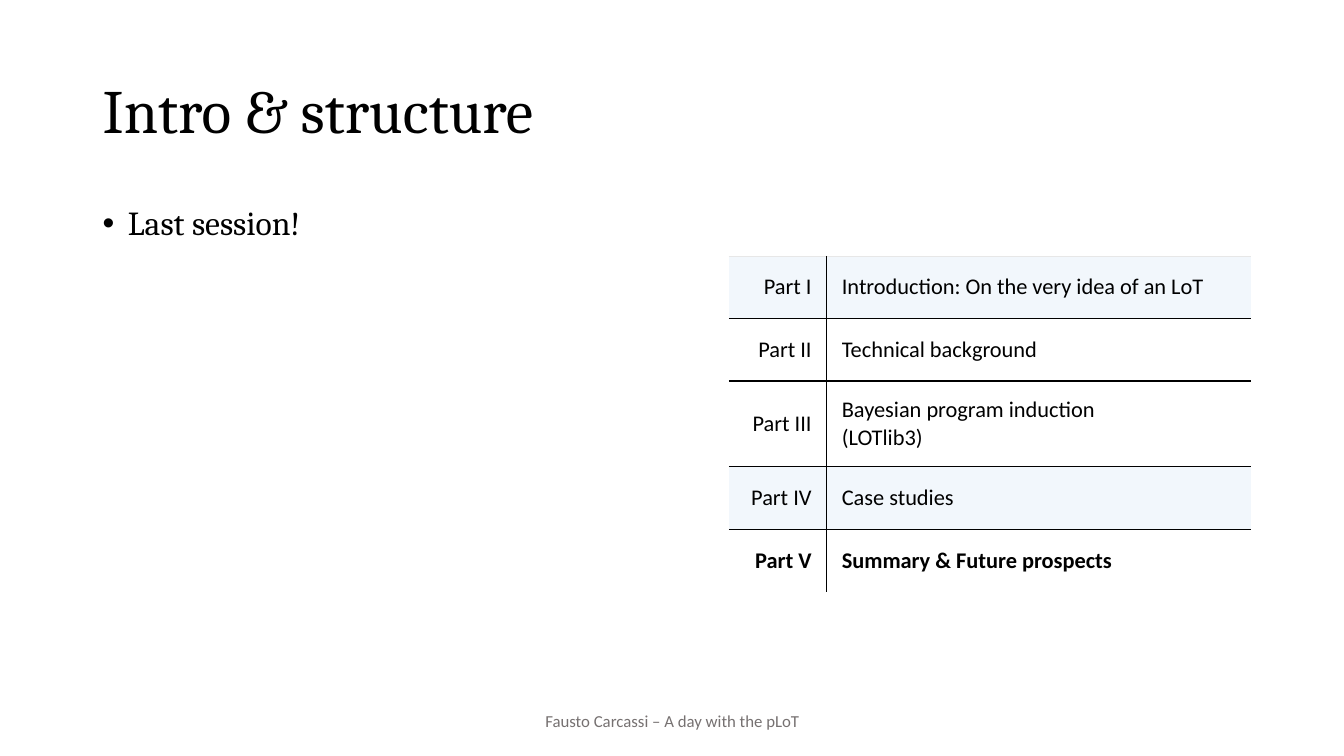
import pptx
import pptx.util
import pptx.dml.color
import pptx.enum.text
import pptx.oxml
import pptx.oxml.ns
from pptx.util import Inches

ALIGN = pptx.enum.text.PP_ALIGN
ANCHOR = pptx.enum.text.MSO_ANCHOR
BLACK, WHITE, PALE, EDGE, GREY = "000000", "FFFFFF", "F2F7FC", "E7E7E7", "767171"

PARTS = [
    ("Part I", "Introduction: On the very idea of an LoT", PALE),
    ("Part II", "Technical background", WHITE),
    ("Part III", "Bayesian program induction\n(LOTlib3)", WHITE),
    ("Part IV", "Case studies", PALE),
    ("Part V", "Summary & Future prospects", WHITE),
]


def color(value):
    return pptx.dml.color.RGBColor.from_string(value)


def add_xml(parent, tag, inner="", **attrs):
    """Append a DrawingML element with the given attributes to parent."""
    pairs = " ".join(f'{key}="{value}"' for key, value in attrs.items())
    space = pptx.oxml.ns.nsdecls("a")
    parent.append(pptx.oxml.parse_xml(f"<a:{tag} {space} {pairs}>{inner}</a:{tag}>"))


def write(frame, text, size, font="Calibri", ink=BLACK, bold=False,
          align=ALIGN.LEFT, anchor=ANCHOR.MIDDLE, spacing=None, bullet=None):
    """Fill a text frame, one paragraph for each line of text."""
    frame.word_wrap = True
    frame.vertical_anchor = anchor
    for index, line in enumerate(text.split("\n")):
        para = frame.add_paragraph() if index else frame.paragraphs[0]
        if bullet:
            props = para._p.get_or_add_pPr()
            props.set("marL", str(Inches(0.25)))
            props.set("indent", str(Inches(-0.25)))
            add_xml(props, "buFont", typeface="Arial")
            add_xml(props, "buChar", char=bullet)
        para.alignment = align
        if spacing:
            para.line_spacing = spacing
        run = para.add_run()
        run.text = line
        run.font.size = pptx.util.Pt(size)
        run.font.name = font
        run.font.bold = bold
        run.font.color.rgb = color(ink)


def add_text(slide, left, top, width, height, text, **style):
    box = slide.shapes.add_textbox(
        Inches(left), Inches(top), Inches(width), Inches(height))
    write(box.text_frame, text, **style)


def add_line(cell, side, ink=None, points=1):
    """Draw one cell border, or hide it when no ink is given."""
    inner = "<a:noFill/>"
    if ink:
        inner = f'<a:solidFill><a:srgbClr val="{ink}"/></a:solidFill>'
    add_xml(cell._tc.get_or_add_tcPr(), f"ln{side}", inner,
            w=int(pptx.util.Pt(points)))


def add_parts(slide):
    last = len(PARTS) - 1
    table = slide.shapes.add_table(
        len(PARTS), 2, Inches(7.23), Inches(2.54), Inches(5.18), Inches(3.33)).table
    table.first_row = table.horz_banding = False
    table.columns[0].width = Inches(0.97)
    table.columns[1].width = Inches(4.21)
    for row, (label, topic, fill) in enumerate(PARTS):
        table.rows[row].height = Inches(0.85 if "\n" in topic else 0.62)
        for col, text in enumerate((label, topic)):
            cell = table.cell(row, col)
            cell.margin_left = cell.margin_right = Inches(0.15)
            cell.margin_top = cell.margin_bottom = Inches(0.15)
            cell.vertical_anchor = ANCHOR.MIDDLE
            write(cell.text_frame, text, 16, bold=row == last,
                  align=ALIGN.LEFT if col else ALIGN.RIGHT)
            add_line(cell, "L", BLACK if col else None)
            add_line(cell, "R", None if col else BLACK)
            if row:
                add_line(cell, "T", BLACK)
            else:
                add_line(cell, "T", EDGE, 0.3)
            add_line(cell, "B", BLACK if row < last else None)
            cell.fill.solid()
            cell.fill.fore_color.rgb = color(fill)


def main():
    deck = pptx.Presentation()
    deck.slide_width, deck.slide_height = Inches(13.33), Inches(7.5)
    slide = deck.slides.add_slide(deck.slide_layouts[6])
    add_text(slide, 0.92, 0.4, 11.5, 1.45, "Intro & structure",
             size=44, font="Cambria", spacing=0.9)
    add_parts(slide)
    add_text(slide, 4.42, 6.95, 4.5, 0.4, "Fausto Carcassi – A day with the pLoT",
             size=12, ink=GREY, align=ALIGN.CENTER)
    add_text(slide, 0.92, 2, 5.68, 4.76, "Last session!", size=24, font="Cambria",
             anchor=ANCHOR.TOP, spacing=0.9, bullet="•")
    deck.save("out.pptx")


if __name__ == "__main__":
    main()
